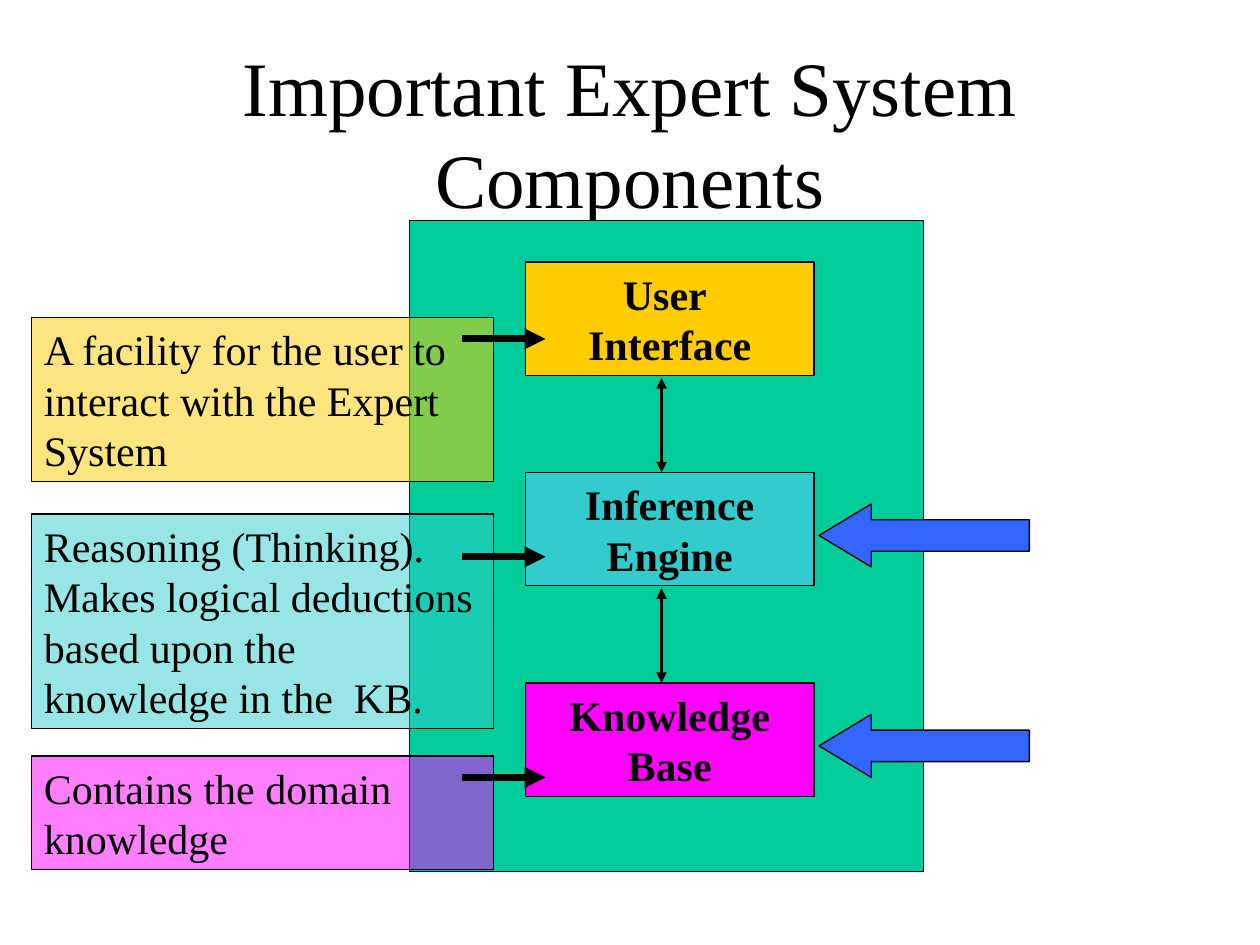
from lxml import etree
from pptx import Presentation
from pptx.dml.color import RGBColor
from pptx.enum.shapes import MSO_CONNECTOR, MSO_SHAPE
from pptx.enum.text import MSO_ANCHOR, PP_ALIGN
from pptx.oxml.ns import qn
from pptx.util import Inches, Pt

RECTANGLE, LEFT_ARROW = MSO_SHAPE.RECTANGLE, MSO_SHAPE.LEFT_ARROW
STRAIGHT = MSO_CONNECTOR.STRAIGHT
TOP, MIDDLE = MSO_ANCHOR.TOP, MSO_ANCHOR.MIDDLE
LEFT, CENTER = PP_ALIGN.LEFT, PP_ALIGN.CENTER

COLORS = {
    "ink": "000000",
    "system": "00CC99",
    "interface": "FFCC00",
    "engine": "33CCCC",
    "knowledge": "FF00FF",
    "pointer": "3366FF",
}


class SlideBuilder:
    font = "Times New Roman"
    body_size = 24
    title_size = 44
    outline = 0.75

    def __init__(self, slide):
        self.slide = slide

    def color(self, name):
        return RGBColor.from_string(COLORS[name])

    def add_lines(self, frame, lines, size, align, anchor, bold=False):
        frame.word_wrap = True
        frame.vertical_anchor = anchor
        for index, line in enumerate(lines):
            paragraph = frame.paragraphs[0] if index == 0 else frame.add_paragraph()
            paragraph.alignment = align
            run = paragraph.add_run()
            run.text = line
            run.font.name = self.font
            run.font.size = Pt(size)
            run.font.bold = bold
            run.font.color.rgb = self.color("ink")

    def title(self, text, left, top, width, height):
        box = self.slide.shapes.add_textbox(
            Inches(left), Inches(top), Inches(width), Inches(height))
        self.add_lines(box.text_frame, [text], self.title_size, CENTER, MIDDLE)

    def panel(self, preset, fill, left, top, width, height, opacity=100):
        """Add an outlined shape; opacity is a percentage."""
        shape = self.slide.shapes.add_shape(
            preset, Inches(left), Inches(top), Inches(width), Inches(height))
        shape.shadow.inherit = False
        shape.fill.solid()
        shape.fill.fore_color.rgb = self.color(fill)
        if opacity < 100:
            solid_fill = shape._element.spPr.find(qn("a:solidFill"))
            etree.SubElement(solid_fill.find(qn("a:srgbClr")), qn("a:alpha"),
                             val=str(opacity * 1000))
        shape.line.color.rgb = self.color("ink")
        shape.line.width = Pt(self.outline)
        return shape

    def component(self, lines, fill, left, top, width, height):
        box = self.panel(RECTANGLE, fill, left, top, width, height)
        self.add_lines(box.text_frame, lines, self.body_size, CENTER, TOP, bold=True)

    def description(self, text, fill, left, top, width, height):
        box = self.panel(RECTANGLE, fill, left, top, width, height, opacity=50)
        self.add_lines(box.text_frame, [text], self.body_size, LEFT, TOP)

    def block_arrow(self, left, top, width, height):
        arrow = self.panel(LEFT_ARROW, "pointer", left, top, width, height)
        arrow.adjustments[0] = 0.5
        arrow.adjustments[1] = 0.83

    def arrow(self, start, end, weight, both_ends=False):
        connector = self.slide.shapes.add_connector(
            STRAIGHT, *(Inches(value) for value in (*start, *end)))
        connector.line.color.rgb = self.color("ink")
        connector.line.width = Pt(weight)
        line = connector._element.spPr.find(qn("a:ln"))
        for end_tag in ["a:headEnd", "a:tailEnd"] if both_ends else ["a:tailEnd"]:
            etree.SubElement(line, qn(end_tag), type="triangle")
        etree.SubElement(connector._element.spPr, qn("a:effectLst"))


def main():
    presentation = Presentation()
    presentation.slide_width = Inches(10)
    presentation.slide_height = Inches(7.5)
    builder = SlideBuilder(
        presentation.slides.add_slide(presentation.slide_layouts[6]))

    builder.title("Important Expert System Components", 0.25, 0.42, 9.5, 1.25)
    builder.panel(RECTANGLE, "system", 3.25, 1.75, 4.08, 5.17)

    first_top, pitch, component_height = 2.08, 1.67, 0.9
    tops = [first_top + row * pitch for row in range(3)]
    components = [
        (["User ", "Interface"], "interface"),
        (["Inference", "Engine"], "engine"),
        (["Knowledge", "Base"], "knowledge"),
    ]
    for top, (lines, fill) in zip(tops, components):
        builder.component(lines, fill, 4.17, top, 2.29, component_height)

    link_x, link_length = 5.25, 0.75
    for top in tops[1:]:
        builder.arrow((link_x, top), (link_x, top - link_length), 2, both_ends=True)

    descriptions = [
        ("Reasoning (Thinking). Makes logical deductions based upon the "
         "knowledge in the  KB.", "engine", 4.08, 1.7, 4.42),
        ("Contains the domain knowledge", "knowledge", 6, 0.9, 6.17),
        ("A facility for the user to interact with the Expert System",
         "interface", 2.52, 1.3, 2.69),
    ]
    for text, fill, top, height, arrow_y in descriptions:
        builder.description(text, fill, 0.25, top, 3.67, height)
        builder.arrow((3.67, arrow_y), (4.33, arrow_y), 4)

    for top in tops[1:]:
        builder.block_arrow(6.5, top + 0.25, 1.67, 0.5)

    presentation.save("out.pptx")


if __name__ == "__main__":
    main()
